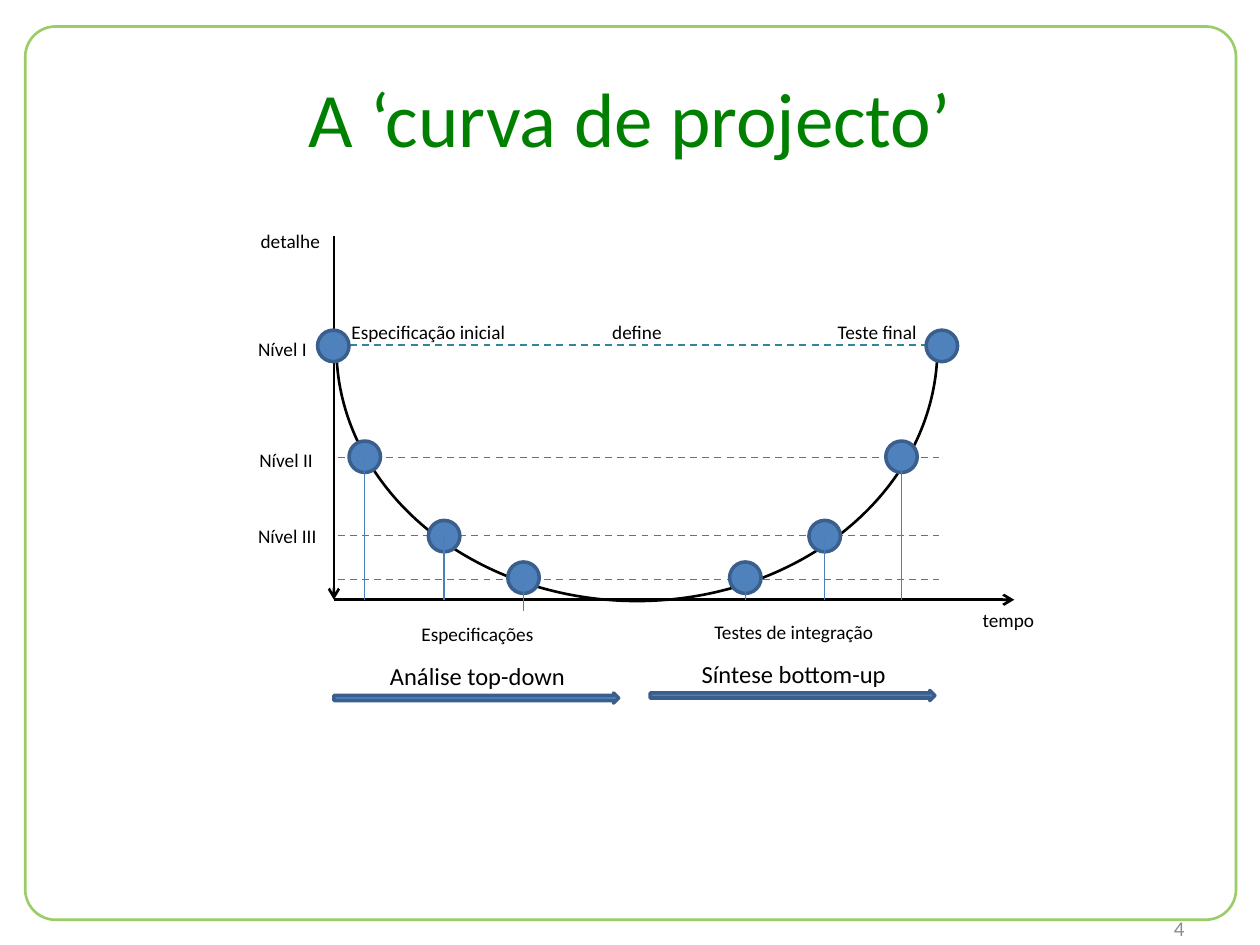
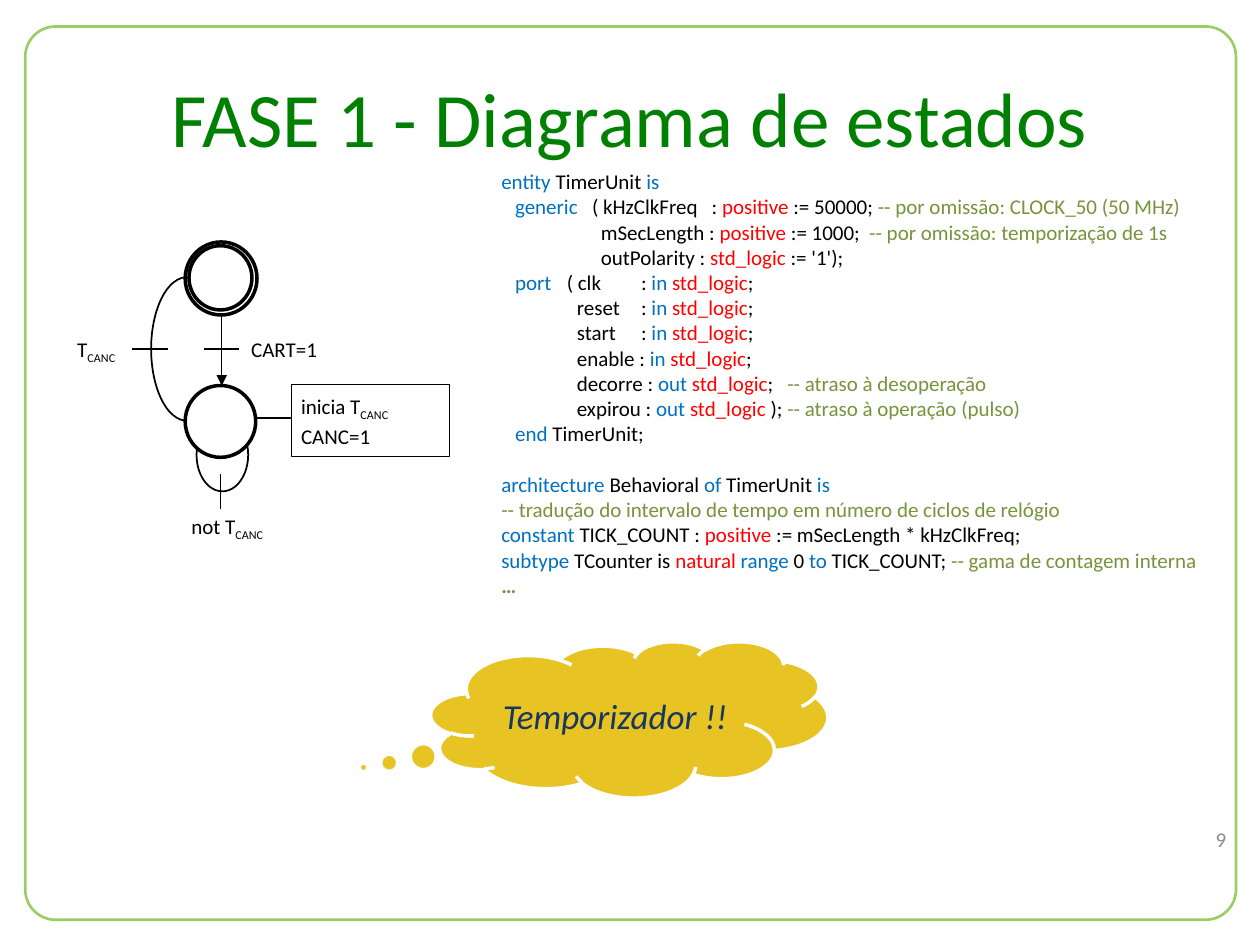
"""Build two slides: the design curve and the state diagram with its timer code."""
from dataclasses import dataclass

import pptx
import pptx.dml.color
import pptx.enum.dml
import pptx.enum.shapes
import pptx.enum.text
import pptx.oxml
import pptx.oxml.ns
import pptx.util

Inches = pptx.util.Inches
Pt = pptx.util.Pt
KIND = pptx.enum.shapes.MSO_SHAPE
ALIGN = pptx.enum.text.PP_ALIGN
ANCHOR = pptx.enum.text.MSO_ANCHOR

FONT = "Calibri"
TONES = {
    "frame": "9ACD65", "title": "008000", "page": "8C8C8C", "black": "000000",
    "white": "FFFFFF", "dash": "31859C", "dot": "4F81BD", "rim": "3A5F8C",
    "stem": "4B7EBC", "cloud": "E8C324", "navy": "17375E",
    "b": "0070C0", "r": "FF0000", "g": "77933C", "k": "000000",
}
Box = tuple[float, float, float, float]
Point = tuple[float, float]


@dataclass
class Level:
    name: str
    left: float
    right: float
    top: float
    dash: float
    label: Point
    stems: tuple[float, ...]


@dataclass
class Row:
    text: str
    stops: tuple[float, ...] = ()
    gap: float = 0
    bold: bool = False


@dataclass
class Phase:
    left: float
    top: float
    tests: str
    name: str


@dataclass
class Wire:
    start: Point
    end: Point
    width: float = 1
    head: str = ""


LEVELS = [
    Level("Nível I", 2.52, 7.35, 2.62, 2.74, (1.95, 2.62), ()),
    Level("Nível II", 2.77, 7.03, 3.5, 3.63, (1.96, 3.5), (4.76, 4.76)),
    Level("Nível III", 3.4, 6.42, 4.13, 4.25, (1.95, 4.1), (4.76, 4.76)),
    Level("", 4.03, 5.79, 4.46, 4.6, (0, 0), (4.85, 4.76)),
]
PHASES = [
    Phase(2.65, 4.88, "Especificações", "Análise top-down"),
    Phase(5.16, 4.86, "Testes de integração", "Síntese bottom-up"),
]
WIRES = [
    Wire((1.76, 2.49), (1.76, 3.06), 0.75, "triangle"),
    Wire((1.62, 2.77), (1.9, 2.77)),
    Wire((1.05, 2.77), (1.33, 2.77)),
    Wire((2.03, 3.32), (2.31, 3.32)),
    Wire((1.75, 3.76), (1.75, 4.04)),
]
INNER = (0.11, 0.72)
PARAM = (0.79, 2.92)
PORT = (0.6, 1.11)
WIDE = (0.6, 2.27)
CODE = [
    Row("b:entity |k:TimerUnit |b:is"),
    Row("b:\tgeneric\t|k:( kHzClkFreq\t: |r:positive|k: := 50000; "
        "|g:-- por omissão: CLOCK_50 (50 MHz)", INNER + (1.67,)),
    Row("k:\tmSecLength : |r:positive|k: := 1000;\t|g:-- por omissão: temporização de 1s", PARAM),
    Row("k:\toutPolarity : |r:std_logic|k: := '1');", PARAM),
    Row("b:\tport\t|k:( clk\t: |b:in |r:std_logic|k:;", (0.11, 0.52, 1.11)),
    Row("k:\treset\t: |b:in |r:std_logic|k:;", PORT),
    Row("k:\tstart\t: |b:in |r:std_logic|k:;", PORT),
    Row("k:\tenable : |b:in |r:std_logic|k:;", PORT),
    Row("k:\tdecorre : |b:out |r:std_logic|k:;\t|g:-- atraso à desoperação", WIDE),
    Row("k:\texpirou : |b:out |r:std_logic |k:); |g:-- atraso à operação (pulso)", WIDE),
    Row("b:\tend |k:TimerUnit;", INNER),
    Row("b:architecture |k:Behavioral |b:of |k:TimerUnit |b:is", gap=14.65),
    Row("g:-- tradução do intervalo de tempo em número de ciclos de relógio"),
    Row("b:constant |k:TICK_COUNT : |r:positive|k: := mSecLength * kHzClkFreq;"),
    Row("b:subtype |k:TCounter is |r:natural|b: range|k: 0 |b:to |k:TICK_COUNT; "
        "|g:-- gama de contagem interna"),
    Row("g:…", bold=True),
]


def tone(name: str) -> pptx.dml.color.RGBColor:
    return pptx.dml.color.RGBColor.from_string(TONES[name])


def tag(parent, name: str, **attrs: str):
    child = pptx.oxml.parse_xml(f"<a:{name} {pptx.oxml.ns.nsdecls('a')}/>")
    for key, value in attrs.items():
        child.set(key, value)
    parent.append(child)
    return child


def style(para, size: float, color: str = "black") -> None:
    para.font.name = FONT
    para.font.size = Pt(size)
    para.font.color.rgb = tone(color)


def set_tabs(para, stops: tuple[float, ...]) -> None:
    tabs = tag(para._p.get_or_add_pPr(), "tabLst")
    for stop in stops:
        tag(tabs, "tab", pos=str(Inches(stop)), algn="l")


def shape(slide, kind, box: Box, fill: str = "", line: str = "black", width: float = 1):
    item = slide.shapes.add_shape(kind, *map(Inches, box))
    item.shadow.inherit = False
    if fill:
        item.fill.solid()
        item.fill.fore_color.rgb = tone(fill)
    else:
        item.fill.background()
    item.line.color.rgb = tone(line)
    item.line.width = Pt(width)
    return item


def arc(slide, box: Box, start: float, end: float, width: float) -> None:
    item = shape(slide, KIND.ARC, box, width=width)
    for index, angle in enumerate((start, end)):
        item.adjustments[index] = angle * 0.6


def link(slide, wire: Wire, color: str = "black", dash: bool = False) -> None:
    item = slide.shapes.add_connector(
        pptx.enum.shapes.MSO_CONNECTOR.STRAIGHT, *map(Inches, wire.start + wire.end))
    item.line.color.rgb = tone(color)
    item.line.width = Pt(wire.width)
    if dash:
        item.line.dash_style = pptx.enum.dml.MSO_LINE.DASH
    if wire.head:
        tag(item.line._get_or_add_ln(), "tailEnd", type=wire.head)
    tag(item._element.spPr, "effectLst")


def text_box(slide, box: Box):
    item = slide.shapes.add_textbox(*map(Inches, box))
    item.text_frame.word_wrap = True
    return item


def label(slide, box: Box, *lines: tuple[str, float], align=ALIGN.LEFT,
          stops: tuple[float, ...] = ()) -> None:
    frame = text_box(slide, box).text_frame
    for index, (text, size) in enumerate(lines):
        para = frame.add_paragraph() if index else frame.paragraphs[0]
        para.add_run().text = text
        para.alignment = align
        para.line_spacing = 1.06
        para.space_after = Pt(8)
        if stops:
            set_tabs(para, stops)
        style(para, size)


def note(item, *lines: str, align=ALIGN.CENTER, inset: float = 0) -> None:
    frame = item.text_frame
    frame.vertical_anchor = ANCHOR.MIDDLE
    frame.margin_left = Inches(inset)
    frame.margin_right = frame.margin_top = frame.margin_bottom = 0
    for index, line in enumerate(lines):
        para = frame.add_paragraph() if index else frame.paragraphs[0]
        para.alignment = align
        para.line_spacing = 1.05
        base, _, sub = line.partition("_")
        para.add_run().text = base
        if sub:
            run = para.add_run()
            run.text = sub
            run._r.get_or_add_rPr().set("baseline", "-25000")
        style(para, 12)


def new_slide(deck, title: str, page: str, spot: Point):
    slide = deck.slides.add_slide(deck.slide_layouts[5])
    rim = shape(slide, KIND.ROUNDED_RECTANGLE, (0.2, 0.21, 9.61, 7.09), line="frame", width=1.5)
    rim.adjustments[0] = 0.034
    head = slide.shapes.title
    head.left, head.top, head.width, head.height = map(Inches, (0.5, 0.3, 9, 1.25))
    head.text_frame.text = title
    head.text_frame.vertical_anchor = ANCHOR.MIDDLE
    para = head.text_frame.paragraphs[0]
    para.alignment = ALIGN.CENTER
    style(para, 44, "title")
    frame = text_box(slide, spot + (2.33, 0.16)).text_frame
    frame.vertical_anchor = ANCHOR.MIDDLE
    para = frame.paragraphs[0]
    para.add_run().text = page
    para.alignment = ALIGN.RIGHT
    style(para, 12, "page")
    return slide


def draw_curve(deck) -> None:
    slide = new_slide(deck, "A ‘curva de projecto’", "4", (7.17, 7.29))
    arc(slide, (2.67, 0.75, 4.77, 4.02), 0, 179.2, 1.5)
    for end, start in (((8.05, 4.76), (2.65, 4.76)), ((2.65, 4.76), (2.65, 1.87))):
        link(slide, Wire(start, end, 1.5, "arrow"))
    for level in LEVELS:
        link(slide, Wire((2.68, level.dash), (7.45, level.dash)), "dash", True)
    for level in LEVELS:
        for left in (level.left, level.right):
            shape(slide, KIND.OVAL, (left, level.top, 0.25, 0.25), "dot", "rim", 2)
        for left, foot in zip((level.left, level.right), level.stems):
            mid = left + 0.125
            link(slide, Wire((mid, level.dash), (mid, foot), 0.75), "stem")
        if level.name:
            label(slide, level.label + (0.8, 0.25), (level.name, 11))
    label(slide, (1.97, 1.76, 0.75, 0.34), ("detalhe", 11))
    label(slide, (7.7, 4.77, 0.75, 0.34), ("tempo", 11))
    label(slide, (2.69, 2.48, 4.75, 0.25),
          ("Especificação inicial\tdefine\tTeste final", 11), stops=(2.07, 3.86))
    for phase in PHASES:
        shape(slide, KIND.RIGHT_ARROW, (phase.left, phase.top + 0.62, 2.26, 0.08),
              "dot", "rim", 2)
        label(slide, (phase.left + 0.02, phase.top, 2.24, 0.7),
              (phase.tests, 11), (phase.name, 14), align=ALIGN.CENTER)


def draw_code(slide) -> None:
    frame = text_box(slide, (3.88, 1.29, 5.82, 3.53)).text_frame
    for index, row in enumerate(CODE):
        para = frame.add_paragraph() if index else frame.paragraphs[0]
        if row.gap:
            para.space_before = Pt(row.gap)
        if row.stops:
            set_tabs(para, row.stops)
        style(para, 12)
        para.font.bold = row.bold
        for part in row.text.split("|"):
            key, _, text = part.partition(":")
            run = para.add_run()
            run.text = text
            run.font.color.rgb = tone(key)


def draw_states(deck) -> None:
    slide = new_slide(deck, "FASE 1 - Diagrama de estados", "9", (7.5, 6.58))
    cloud = shape(slide, KIND.CLOUD_CALLOUT, (3.42, 5.09, 3.15, 1.24), "cloud", "white", 2)
    cloud.adjustments[0], cloud.adjustments[1] = -0.67, 0.307
    cloud.text_frame.vertical_anchor = ANCHOR.MIDDLE
    para = cloud.text_frame.paragraphs[0]
    para.add_run().text = "Temporizador !!"
    para.alignment = ALIGN.CENTER
    style(para, 20, "navy")
    para.font.italic = True
    arc(slide, (1.2, 2.2, 0.57, 1.14), 91.6, 269.5, 1)
    arc(slide, (1.56, 3.32, 0.41, 0.58), 337.1, 192.9, 1)
    for box in ((1.47, 3.06, 0.56, 0.57), (1.47, 1.92, 0.57, 0.58), (1.5, 1.95, 0.5, 0.51)):
        shape(slide, KIND.OVAL, box, "white", width=2)
    for wire in WIRES:
        link(slide, wire)
    action = shape(slide, KIND.RECTANGLE, (2.31, 3.05, 1.26, 0.57), "white", width=0.5)
    note(action, "inicia T_CANC", "CANC=1", align=ALIGN.LEFT, inset=0.08)
    for box, text in (((1.84, 2.48, 0.83, 0.57), "CART=1"),
                      ((0.43, 2.49, 0.69, 0.57), "T_CANC "),
                      ((1.47, 3.9, 0.69, 0.57), "not T_CANC ")):
        note(text_box(slide, box), text)
    draw_code(slide)


def main() -> None:
    deck = pptx.Presentation()
    deck.slide_width, deck.slide_height = Inches(10), Inches(7.5)
    draw_curve(deck)
    draw_states(deck)
    deck.save("out.pptx")


if __name__ == "__main__":
    main()
